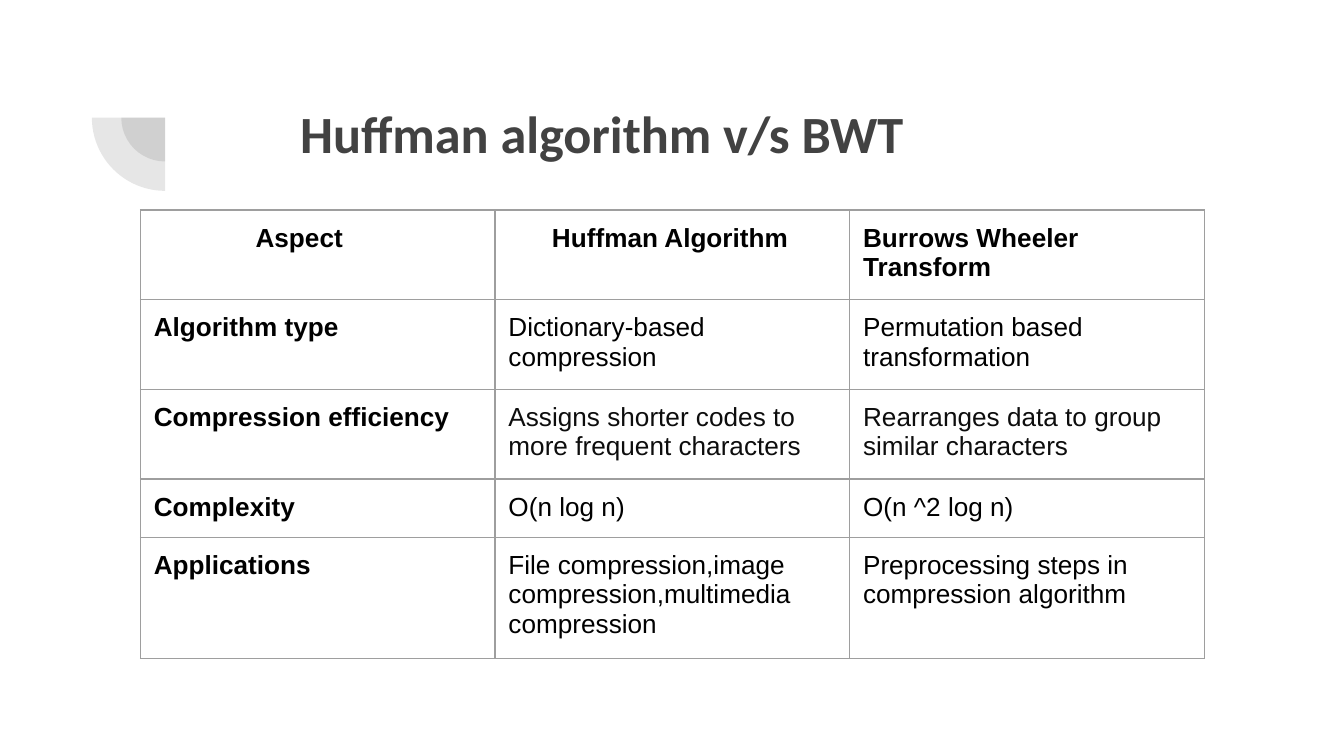
from lxml import etree
from pptx import Presentation
from pptx.dml.color import RGBColor
from pptx.enum.shapes import MSO_SHAPE as Shape
from pptx.enum.text import MSO_ANCHOR as Anchor
from pptx.oxml.ns import qn
from pptx.util import Pt

COLORS = {
    "page": "FFFFFF",
    "title": "424242",
    "text": "000000",
    "detail": "0D0D0D",
    "grid": "9E9E9E",
}
INSET = 7.2

ROWS = [
    ["Aspect", "Huffman Algorithm", "Burrows Wheeler Transform"],
    ["Algorithm type", "Dictionary-based compression", "Permutation based transformation"],
    ["Compression efficiency", "Assigns shorter codes to more frequent characters",
     "Rearranges data to group similar characters"],
    ["Complexity", "O(n log n)", "O(n ^2 log n)"],
    ["Applications", "File compression,image compression,multimedia compression",
     "Preprocessing steps in compression algorithm"],
]
HEADER_INDENTS = [54.5, 23.35, 0]
EFFICIENCY_ROW = 2


def rgb(name):
    return RGBColor.from_string(COLORS[name])


def write(holder, frame, text, indent=0, color="text", **font):
    """Write one styled line; the holder (frame or cell) carries the margins."""
    margins = {"left": INSET + indent, "right": INSET, "top": INSET, "bottom": INSET}
    for side, margin in margins.items():
        setattr(holder, f"margin_{side}", Pt(margin))
    holder.vertical_anchor = Anchor.TOP
    run = frame.paragraphs[0].add_run()
    run.text = text
    for name, value in font.items():
        setattr(run.font, name, value)
    run.font.color.rgb = rgb(color)


def add_corner_mark(slide, center_x, center_y, diameters):
    """Overlapping translucent quarter discs around one centre."""
    for diameter in diameters:
        quarter = slide.shapes.add_shape(
            Shape.PIE, Pt(center_x - diameter / 2), Pt(center_y - diameter / 2),
            Pt(diameter), Pt(diameter))
        quarter.adjustments[0], quarter.adjustments[1] = 108, 162
        quarter.rotation = 270
        quarter.shadow.inherit = False
        quarter.line.fill.background()
        quarter.fill.solid()
        quarter.fill.fore_color.rgb = rgb("title")
        tint = quarter._element.spPr.find(".//" + qn("a:srgbClr"))
        etree.SubElement(tint, qn("a:alpha"), val="13000")


def add_title(slide, left, top, width, height):
    frame = slide.shapes.add_textbox(Pt(left), Pt(top), Pt(width), Pt(height)).text_frame
    frame.word_wrap = True
    write(frame, frame, "Huffman algorithm v/s BWT", indent=50.6, color="title",
          name="Calibri", size=Pt(28), bold=True)


def add_borders(cell):
    properties = cell._tc.get_or_add_tcPr()
    for position, side in enumerate(("lnL", "lnR", "lnT", "lnB")):
        line = etree.Element(qn(f"a:{side}"), w=str(int(Pt(0.75))))
        fill = etree.SubElement(line, qn("a:solidFill"))
        etree.SubElement(fill, qn("a:srgbClr"), val=COLORS["grid"])
        properties.insert(position, line)


def add_comparison(slide, left, top, column_width, row_height):
    table = slide.shapes.add_table(
        len(ROWS), len(ROWS[0]), Pt(left), Pt(top),
        Pt(column_width * len(ROWS[0])), Pt(row_height * len(ROWS))).table
    table.first_row = table.horz_banding = False
    for column in table.columns:
        column.width = Pt(column_width)
    # Rows grow to fit wrapped text
    for row in table.rows:
        row.height = Pt(row_height)

    for r, aspects in enumerate(ROWS):
        for c, text in enumerate(aspects):
            cell = table.cell(r, c)
            write(cell, cell.text_frame, text,
                  indent=HEADER_INDENTS[c] if r == 0 else 0,
                  color="detail" if r == EFFICIENCY_ROW and c else "text",
                  name="Arial", size=Pt(14), bold=r == 0 or c == 0)
            cell.fill.background()
            add_borders(cell)


def main():
    deck = Presentation()
    deck.slide_width, deck.slide_height = Pt(720), Pt(405)
    slide = deck.slides.add_slide(deck.slide_layouts[6])
    slide.background.fill.solid()
    slide.background.fill.fore_color.rgb = rgb("page")

    add_corner_mark(slide, center_x=88.5, center_y=63, diameters=(47, 78.5))
    add_title(slide, left=103, top=46.8, width=553.7, height=78.5)
    add_comparison(slide, left=75.2, top=112.5, column_width=190, row_height=30.2)
    deck.save("out.pptx")


if __name__ == "__main__":
    main()
